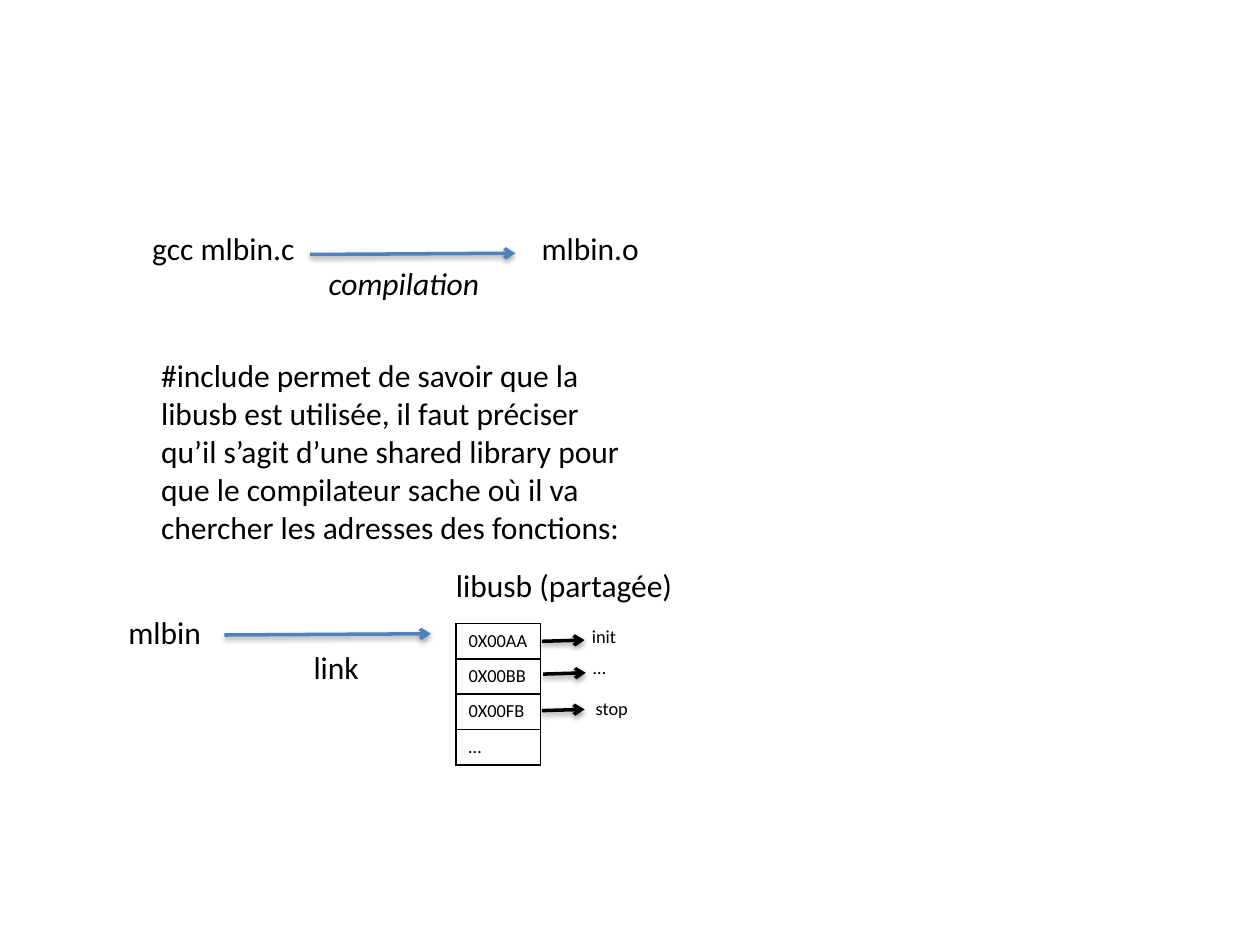
from lxml import etree
from pptx import Presentation
from pptx import util as u
from pptx.dml.color import RGBColor
from pptx.enum import shapes, text
from pptx.oxml import parse_xml
from pptx.oxml.ns import nsdecls, qn

COLORS = {"ink": "000000", "arrow": "4F81BD", "paper": "FFFFFF"}

SHADOW = (
    f'<a:effectLst {nsdecls("a")}>'
    '<a:outerShdw blurRad="40000" dist="20000" dir="5400000" rotWithShape="0">'
    f'<a:srgbClr val="{COLORS["ink"]}"><a:alpha val="38000"/></a:srgbClr>'
    "</a:outerShdw></a:effectLst>"
)


def rgb(name):
    return RGBColor.from_string(COLORS[name])


class SlideBuilder:
    font_name = "Calibri"
    body_size = 18
    small_size = 10.5
    arrow_width = 2
    border_width = 1

    def __init__(self, slide):
        self.slide = slide
        fill = slide.background.fill
        fill.solid()
        fill.fore_color.rgb = rgb("paper")

    def add_text(self, frame, content, size, italic=False):
        run = frame.paragraphs[0].add_run()
        run.text = content
        values = {"name": self.font_name, "size": u.Pt(size), "italic": italic}
        for key, value in values.items():
            setattr(run.font, key, value)
        run.font.color.rgb = rgb("ink")

    def label(self, content, left, top, width, height=0.4, size=None, italic=False, wrap=False):
        box = self.slide.shapes.add_textbox(*map(u.Inches, (left, top, width, height)))
        values = {"word_wrap": wrap, "auto_size": text.MSO_AUTO_SIZE.SHAPE_TO_FIT_TEXT}
        for key, value in values.items():
            setattr(box.text_frame, key, value)
        self.add_text(box.text_frame, content, size or self.body_size, italic)

    def arrow(self, left, top, length, color="arrow", rise=0.01):
        ends = (left, top, left + length, top - rise)
        connector = self.slide.shapes.add_connector(
            shapes.MSO_CONNECTOR.STRAIGHT, *map(u.Inches, ends))
        connector.line.color.rgb = rgb(color)
        connector.line.width = u.Pt(self.arrow_width)
        properties = connector._element.spPr
        line = properties.find(qn("a:ln"))
        etree.SubElement(line, qn("a:tailEnd"), type="arrow")
        properties.append(parse_xml(SHADOW))

    def border(self, cell):
        properties = cell._tc.get_or_add_tcPr()
        for side in ("lnL", "lnR", "lnT", "lnB"):
            properties.append(parse_xml(
                f'<a:{side} {nsdecls("a")} w="{u.Pt(self.border_width)}">'
                f'<a:solidFill><a:srgbClr val="{COLORS["ink"]}"/></a:solidFill></a:{side}>'))

    def column_table(self, entries, left, top, width, row_height):
        lengths = (left, top, width, row_height * len(entries))
        table = self.slide.shapes.add_table(len(entries), 1, *map(u.Inches, lengths)).table
        for flag in ("first_row", "horz_banding"):
            setattr(table, flag, False)
        for index, entry in enumerate(entries):
            table.rows[index].height = u.Inches(row_height)
            cell = table.cell(index, 0)
            self.border(cell)
            cell.fill.background()
            self.add_text(cell.text_frame, entry, self.small_size)


def main():
    presentation = Presentation()
    presentation.slide_width = u.Inches(10)
    presentation.slide_height = u.Inches(7.5)
    builder = SlideBuilder(presentation.slides.add_slide(presentation.slide_layouts[6]))

    builder.label("gcc mlbin.c", 1.11, 1.77, 1.34)
    builder.arrow(2.46, 2.02, 1.63)
    builder.label("compilation", 2.51, 2.05, 1.47, italic=True)
    builder.label("mlbin.o", 4.2, 1.77, 0.98)

    builder.arrow(1.78, 5.04, 1.64)
    builder.label("link", 2.39, 5.09, 0.57)
    builder.label("libusb (partagée)", 3.52, 4.44, 1.94)
    builder.column_table(("0X00AA", "0X00BB", "0X00FB", "…"), 3.62, 4.95, 0.67, 0.28)
    for left, top in ((4.3, 5.09), (4.31, 5.35), (4.3, 5.64)):
        builder.arrow(left, top, 0.34, "ink")

    builder.label("mlbin", 0.92, 4.82, 0.78)
    builder.label(
        "#include permet de savoir que la libusb est utilisée, il faut préciser "
        "qu’il s’agit d’une shared library pour que le compilateur sache où il va "
        "chercher les adresses des fonctions:",
        1.18, 2.78, 4.01, 1.62, wrap=True)

    functions = (("init", 4.6, 4.91, 0.4), ("…", 4.61, 5.16, 0.31), ("stop", 4.63, 5.48, 0.46))
    for name, left, top, width in functions:
        builder.label(name, left, top, width, 0.28, builder.small_size)

    presentation.save("out.pptx")


if __name__ == "__main__":
    main()
